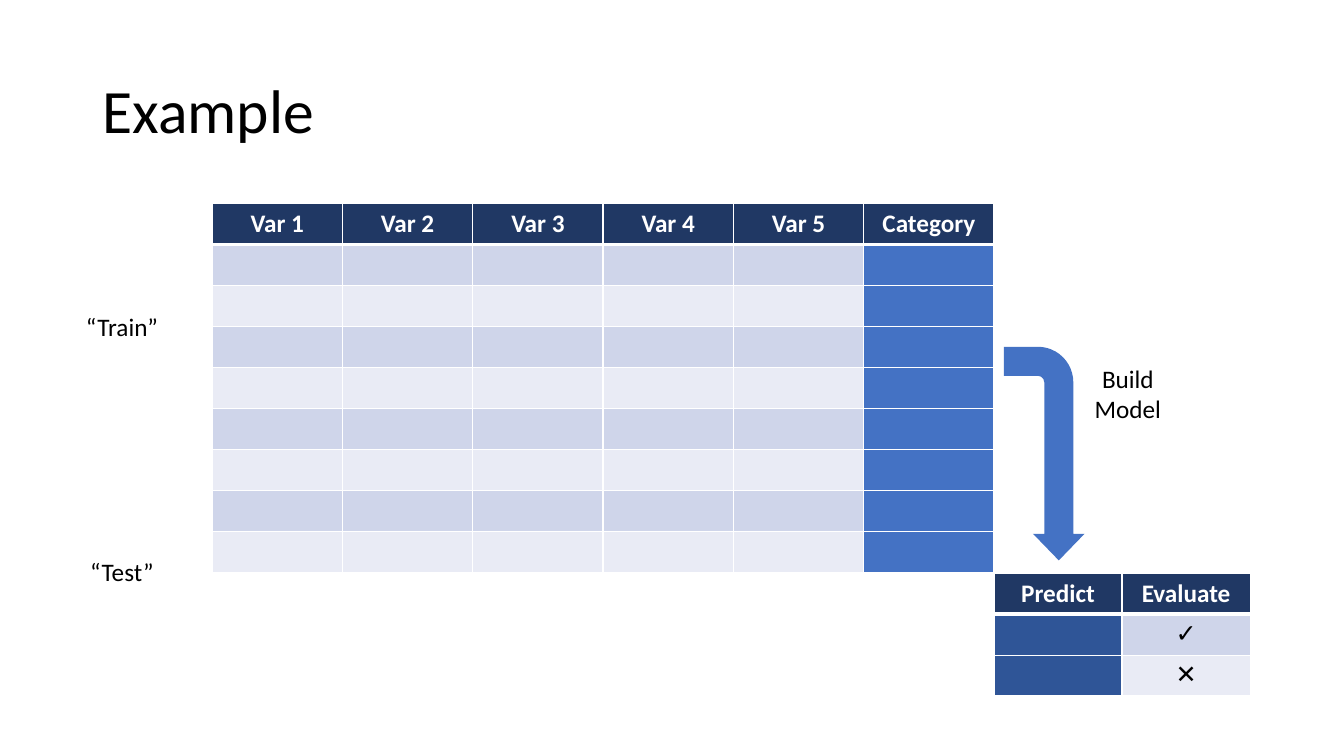
from lxml import etree
from pptx import Presentation
from pptx import util as u
from pptx.dml.color import RGBColor
from pptx.enum import shapes, text
from pptx.oxml.ns import qn

HUES = {
    "ink": "000000", "white": "FFFFFF", "head": "203864", "blue": "4472C4",
    "deep": "2F5597", "dark": "CFD5EA", "light": "E9EBF5",
}
ROW = 29.25


class Deck:
    def __init__(self, wide, high):
        self.show = Presentation()
        self.show.slide_width = u.Pt(wide)
        self.show.slide_height = u.Pt(high)
        self.page = self.show.slides.add_slide(self.show.slide_layouts[5])

    def hue(self, name):
        return RGBColor.from_string(HUES[name])

    def style(self, frame, size=18, hue="ink", bold=False, face="Calibri",
              align=text.PP_ALIGN.CENTER):
        for para in frame.paragraphs:
            para.alignment = align
            for run in para.runs:
                run.font.size = u.Pt(size)
                run.font.name = face
                run.font.bold = bold
                run.font.color.rgb = self.hue(hue)

    def title(self, words, *box):
        head = self.page.shapes.title
        head.left, head.top, head.width, head.height = map(u.Pt, box)
        frame = head.text_frame
        frame.text = words
        frame.auto_size = text.MSO_AUTO_SIZE.NONE
        frame.vertical_anchor = text.MSO_ANCHOR.MIDDLE
        frame.paragraphs[0].line_spacing = 0.9
        self.style(frame, 44, align=text.PP_ALIGN.LEFT)

    def label(self, words, *box):
        frame = self.page.shapes.add_textbox(*map(u.Pt, box)).text_frame
        frame.word_wrap = True
        frame.auto_size = text.MSO_AUTO_SIZE.SHAPE_TO_FIT_TEXT
        frame.text = words
        self.style(frame)

    def arrow(self, *box):
        bend = self.page.shapes.add_shape(
            shapes.MSO_SHAPE.BENT_ARROW, *map(u.Pt, box))
        bend.rotation = 90
        bend.shadow.inherit = False
        for i, ratio in enumerate((0.36, 0.32, 0.33, 0.44)):
            bend.adjustments[i] = ratio
        bend.fill.solid()
        bend.fill.fore_color.rgb = self.hue("blue")
        bend.line.fill.background()

    def edges(self, cell, top, base):
        props = cell._tc.get_or_add_tcPr()
        for side, width in zip("LRTB", (1, 1, top, base)):
            line = etree.SubElement(props, qn(f"a:ln{side}"), w=str(u.Pt(width)))
            fill = etree.SubElement(line, qn("a:solidFill"))
            etree.SubElement(fill, qn("a:srgbClr"), val=HUES["white"])

    def table(self, left, top, wide, rows, cols, heads=(), marks=(), last=None):
        grid = self.page.shapes.add_table(
            rows, cols, *map(u.Pt, (left, top, wide * cols, ROW * rows))).table
        grid.first_row = bool(heads)
        grid.horz_banding = False
        for col in grid.columns:
            col.width = u.Pt(wide)
        skip = 1 if heads else 0
        for r in range(rows):
            grid.rows[r].height = u.Pt(ROW)
            for c in range(cols):
                cell = grid.cell(r, c)
                top_row = r < skip
                self.edges(cell, 3 if skip and r == 1 else 1, 3 if top_row else 1)
                if top_row:
                    hue = "head"
                    cell.text_frame.text = heads[c]
                    self.style(cell.text_frame, hue="white", bold=True)
                else:
                    hue = ("dark", "light")[(r - skip) % 2]
                    if last and c == cols - 1:
                        hue = last
                    if marks:
                        cell.text_frame.text = marks[r - skip]
                        self.style(cell.text_frame, face="Arial")
                cell.fill.solid()
                cell.fill.fore_color.rgb = self.hue(hue)


def main():
    deck = Deck(960, 540)
    deck.title("Example", 66, 28.75, 828, 104.38)
    names = [f"Var {n}" for n in range(1, 6)] + ["Category"]
    left, top, wide = 151.5, 145.5, 93.1
    deck.table(left, top, wide, 7, 6, heads=names, last="blue")
    deck.table(left, top + 7 * ROW, wide, 2, 6, last="blue")
    side, low, slim = 710, 409.5, 91.5
    deck.table(side, low, slim, 3, 1, heads=["Predict"], last="deep")
    deck.table(side + slim, low, slim, 3, 1, heads=["Evaluate"], marks="✓✕")
    deck.label("“Train”", 37.5, 219, 99.25, 29)
    deck.label("“Test”", 37.5, 394, 99.25, 29)
    deck.arrow(669.6, 295.2, 152.6, 57.6)
    deck.label("Build Model", 756, 255.6, 99.25, 51)
    deck.show.save("out.pptx")


if __name__ == "__main__":
    main()
